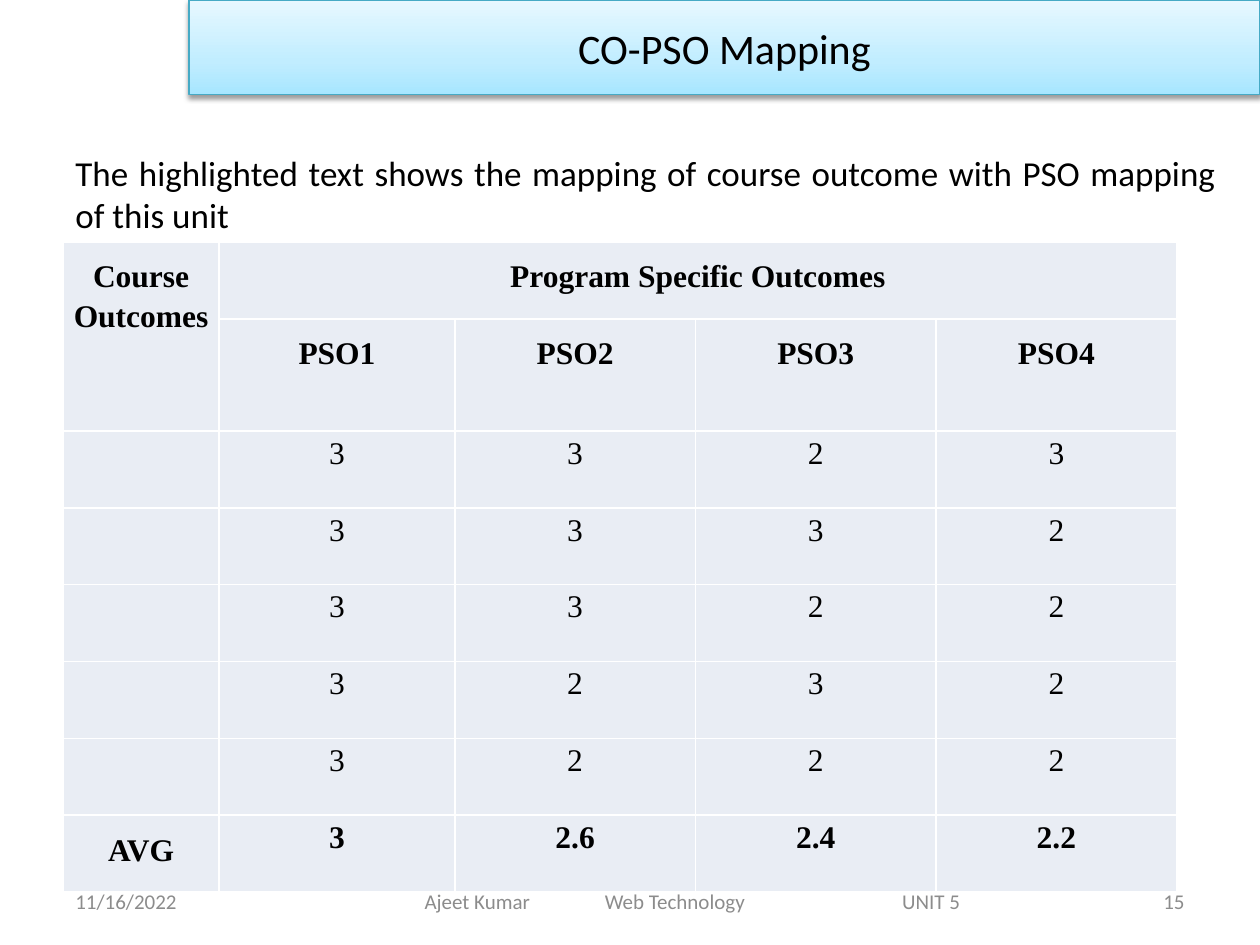
from dataclasses import dataclass

import pptx
import pptx.dml.color
import pptx.enum.dml
import pptx.enum.text
import pptx.oxml
import pptx.oxml.ns
import pptx.util
from copy import deepcopy

Inches = pptx.util.Inches
Pt = pptx.util.Pt
RGBColor = pptx.dml.color.RGBColor
Align = pptx.enum.text.PP_ALIGN
Anchor = pptx.enum.text.MSO_ANCHOR

BLACK = RGBColor(0x00, 0x00, 0x00)
GRAY = RGBColor(0x8C, 0x8C, 0x8C)
CELL_FILL = RGBColor(0xE9, 0xED, 0xF4)
TITLE_LINE = RGBColor(0x46, 0xAA, 0xC5)
TITLE_GRADIENT = (
    (0, RGBColor(0xA7, 0xE6, 0xFF)),
    (0.35, RGBColor(0xC1, 0xED, 0xFF)),
    (1, RGBColor(0xE7, 0xF8, 0xFF)),
)
NAMESPACE = pptx.oxml.ns.nsdecls("a")


@dataclass
class TextItem:
    text: str
    left: float
    top: float
    width: float
    height: float
    size: float = 12
    color: RGBColor = GRAY
    align: Align = Align.LEFT
    anchor: Anchor = Anchor.MIDDLE
    left_inset: float = 0.1
    tabs: tuple[float, ...] = ()


TEXT_ITEMS = (
    TextItem("11/16/2022", 0.5, 6.95, 2.33, 0.4),
    TextItem("15", 7.17, 6.95, 2.33, 0.4, align=Align.RIGHT),
    TextItem("Ajeet Kumar\tWeb Technology\tUNIT 5", 2.75, 6.95, 5.5, 0.4,
             left_inset=0.62, tabs=(1.43, 3.79)),
    TextItem("The highlighted text shows the mapping of course outcome with PSO mapping of this unit",
             0.5, 1.15, 9.25, 0.77, size=20, color=BLACK,
             align=Align.JUSTIFY, anchor=Anchor.TOP),
)

COLUMN_WIDTHS = (1.24, 1.87, 1.91, 1.91, 1.91)
ROW_HEIGHTS = (0.61, 0.77) + (0.61,) * 6
HEADER_ROWS = 2
TABLE_ROWS = (
    ("Course Outcomes", "Program Specific Outcomes", "", "", ""),
    ("", "PSO1", "PSO2", "PSO3", "PSO4"),
    ("", "3", "3", "2", "3"),
    ("", "3", "3", "3", "2"),
    ("", "3", "3", "2", "2"),
    ("", "3", "2", "3", "2"),
    ("", "3", "2", "2", "2"),
    ("AVG", "3", "2.6", "2.4", "2.2"),
)


def write_text(text_frame, text: str, *, size: float, color: RGBColor = BLACK,
               font: str = "Calibri", bold: bool = False, align: Align = Align.CENTER,
               line_spacing: float | None = None, tabs: tuple[float, ...] = ()) -> None:
    paragraph = text_frame.paragraphs[0]
    paragraph.text = text
    paragraph.alignment = align
    paragraph.line_spacing = line_spacing
    if tabs:
        stops = "".join(f'<a:tab pos="{Inches(tab)}" algn="l"/>' for tab in tabs)
        properties = paragraph._p.get_or_add_pPr()
        properties.append(pptx.oxml.parse_xml(f"<a:tabLst {NAMESPACE}>{stops}</a:tabLst>"))
    for run in paragraph.runs:
        run.font.name = font
        run.font.size = Pt(size)
        run.font.bold = bold
        run.font.color.rgb = color


def add_text(slide, item: TextItem) -> None:
    box = slide.shapes.add_textbox(Inches(item.left), Inches(item.top),
                                   Inches(item.width), Inches(item.height))
    box.text_frame.word_wrap = True
    box.text_frame.vertical_anchor = item.anchor
    box.text_frame.margin_left = Inches(item.left_inset)
    write_text(box.text_frame, item.text, size=item.size, color=item.color,
               align=item.align, tabs=item.tabs)


def format_title(title) -> None:
    title.left, title.top = Inches(1.5), Inches(0)
    title.width, title.height = Inches(8.5), Inches(0.75)
    title.fill.gradient()
    title.fill.gradient_angle = 90
    stop_list = title.fill._fill._gradFill.gsLst
    stop_list.append(deepcopy(stop_list[-1]))
    for stop, (position, color) in zip(title.fill.gradient_stops, TITLE_GRADIENT):
        stop.position = position
        stop.color.rgb = color
    title.line.color.rgb = TITLE_LINE
    title.line.width = Pt(0.75)
    title._element.spPr.append(pptx.oxml.parse_xml(
        f'<a:effectLst {NAMESPACE}><a:outerShdw blurRad="{Pt(3.1)}" dist="{Pt(1.6)}" '
        'dir="5400000" rotWithShape="0"><a:srgbClr val="000000"><a:alpha val="38000"/>'
        '</a:srgbClr></a:outerShdw></a:effectLst>'))
    title.text_frame.auto_size = pptx.enum.text.MSO_AUTO_SIZE.NONE
    title.text_frame.vertical_anchor = Anchor.MIDDLE
    write_text(title.text_frame, "CO-PSO Mapping", size=24)


def add_white_borders(cell) -> None:
    properties = cell._tc.get_or_add_tcPr()
    for side in ("lnL", "lnR", "lnT", "lnB"):
        properties.append(pptx.oxml.parse_xml(
            f'<a:{side} {NAMESPACE} w="{Pt(1)}"><a:solidFill>'
            f'<a:srgbClr val="FFFFFF"/></a:solidFill></a:{side}>'))


def add_mapping_table(slide) -> None:
    table = slide.shapes.add_table(
        len(TABLE_ROWS), len(COLUMN_WIDTHS), Inches(0.5), Inches(1.92),
        Inches(sum(COLUMN_WIDTHS)), Inches(sum(ROW_HEIGHTS))).table
    for column, width in zip(table.columns, COLUMN_WIDTHS):
        column.width = Inches(width)
    for row, height in zip(table.rows, ROW_HEIGHTS):
        row.height = Inches(height)
    table.cell(0, 0).merge(table.cell(1, 0))
    table.cell(0, 1).merge(table.cell(0, 4))
    for row_index, values in enumerate(TABLE_ROWS):
        is_header = row_index < HEADER_ROWS
        is_average = row_index == len(TABLE_ROWS) - 1
        for column_index, value in enumerate(values):
            cell = table.cell(row_index, column_index)
            add_white_borders(cell)
            cell.fill.solid()
            cell.fill.fore_color.rgb = CELL_FILL
            cell.margin_left = cell.margin_right = Inches(0.07)
            is_label = is_header or column_index == 0
            cell.margin_top = cell.margin_bottom = Inches(0.1 if is_label else 0)
            if value:
                write_text(cell.text_frame, value, size=18, font="Times New Roman",
                           bold=is_header or is_average, line_spacing=1.15)


def main() -> None:
    presentation = pptx.Presentation()
    presentation.slide_width = Inches(10)
    presentation.slide_height = Inches(7.5)
    slide = presentation.slides.add_slide(presentation.slide_layouts.get_by_name("Title Only"))
    format_title(slide.shapes.title)
    for item in TEXT_ITEMS:
        add_text(slide, item)
    add_mapping_table(slide)
    presentation.save("out.pptx")


if __name__ == "__main__":
    main()
